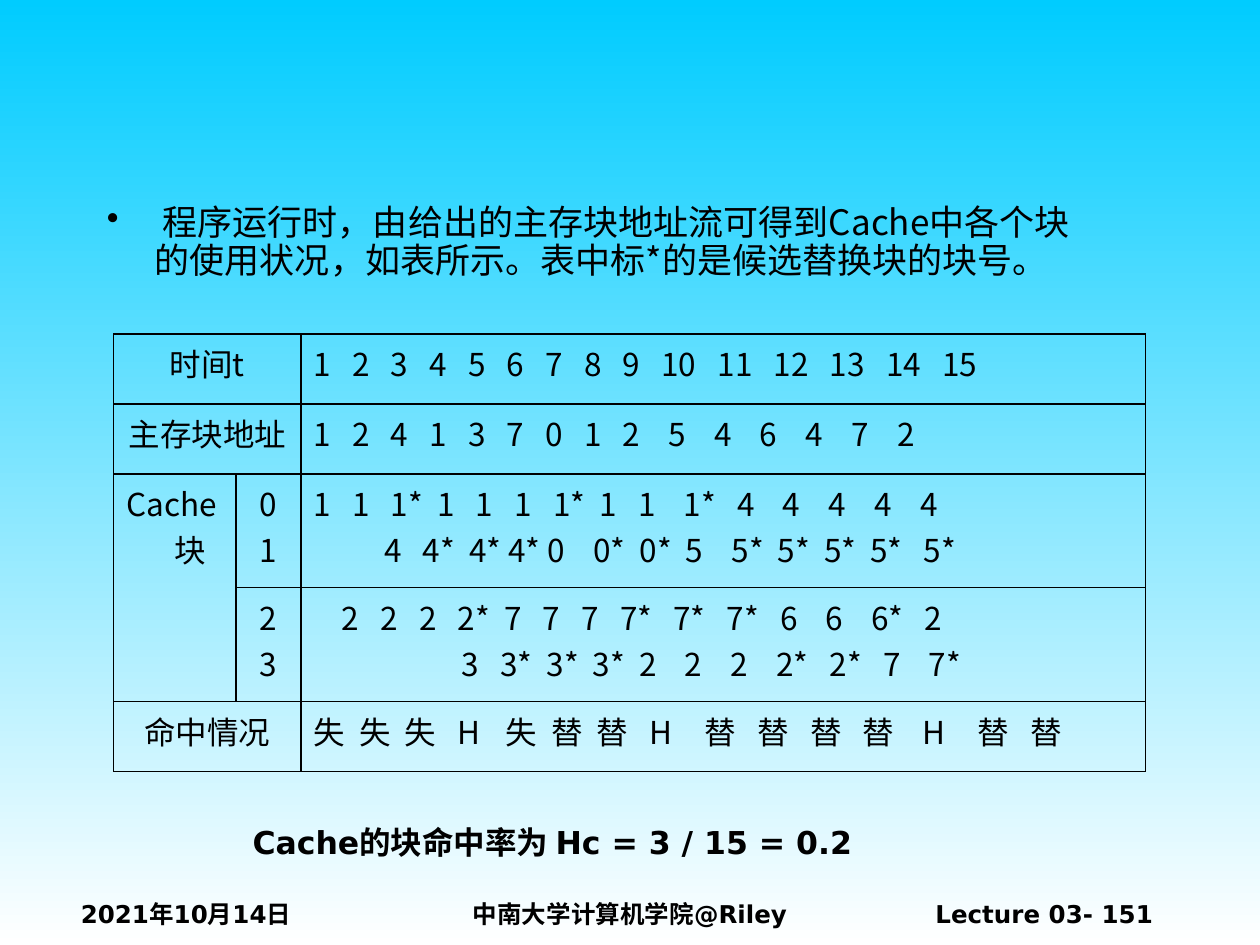
from itertools import product
from lxml.etree import SubElement
from pptx import Presentation
from pptx.dml.color import RGBColor
from pptx.enum.text import MSO_ANCHOR, MSO_AUTO_SIZE, PP_ALIGN
from pptx.oxml.ns import qn
from pptx.util import Pt

CJK, SANS = "Noto Sans CJK SC", "DejaVu Sans"
LEFT, MID, RIGHT = PP_ALIGN.LEFT, PP_ALIGN.CENTER, PP_ALIGN.RIGHT
BLACK = "000000"
HANG = 27.36

# Content
INTRO = " 程序运行时，由给出的主存块地址流可得到Cache中各个块的使用状况，如表所示。表中标*的是候选替换块的块号。"

# Each line: entries, then the gap before each entry in space widths
TIME = ("1 2 3 4 5 6 7 8 9 10 11 12 13 14 15", [0] + [3] * 14)
ADDR = ("1 2 4 1 3 7 0 1 2 5 4 6 4 7 2", [0] + [3] * 8 + [4] * 6)
BLOCKS = [
    ("1 1 1* 1 1 1 1* 1 1 1* 4 4 4 4 4",
     [0, 3, 3, 2, 3, 3, 3, 2, 3, 4, 3, 4, 4, 4, 4]),
    ("4 4* 4* 4* 0 0* 0* 5 5* 5* 5* 5* 5*",
     [10, 3, 2, 1, 1, 4, 2, 2, 4, 2, 2, 2, 3]),
    ("2 2 2 2* 7 7 7 7* 7* 7* 6 6 6* 2",
     [4, 3, 3, 3, 2, 3, 3, 3, 3, 3, 3, 4, 4, 3]),
    ("3 3* 3* 3* 2 2 2 2* 2* 7 7*",
     [21, 3, 2, 2, 2, 4, 4, 4, 3, 3, 4]),
]
HITS = ("失 失 失 H 失 替 替 H 替 替 替 替 H 替 替",
        [0, 2, 2, 3, 3, 2, 2, 3, 4, 3, 3, 3, 4, 4, 3])

COLS = [70, 37, 482.5]
ROWS = [40, 40, 65, 65, 40]
SPANS = [((0, 0), (0, 1)), ((1, 0), (1, 1)), ((2, 0), (3, 0)), ((4, 0), (4, 1))]
LABELS = {(0, 0): ["时间t"], (1, 0): ["主存块地址"], (2, 1): ["0", "1"],
          (3, 1): ["2", "3"], (4, 0): ["命中情况"]}
SERIES = [[TIME], [ADDR], BLOCKS[:2], BLOCKS[2:], [HITS]]

# Text, place, alignment
FOOTER = [
    ("中南大学计算机学院@Riley", (246, 510, 228, 36), MID),
    ("2021年10月14日", (0, 510, 212.5, 36), MID),
    ("Lecture 03- 151", (516, 510, 150, 36), RIGHT),
]
RATE = "Cache的块命中率为 Hc = 3 / 15 = 0.2"

# Advance widths at 18 points
SPACE, DIGIT, STAR, HIT, HAN = 4.03, 10, 8.4, 15.5, 18


def color(code):
    return RGBColor.from_string(code)


def width(item):
    kinds = {"*": STAR, "H": HIT, "失": HAN, "替": HAN}
    return sum(kinds.get(sign, DIGIT) for sign in item)


def write(para, text, size, font=CJK, bold=False, align=LEFT):
    para.alignment = align
    run = para.add_run()
    run.text = text
    look = {"size": Pt(size), "name": font, "bold": bold}
    for key, value in look.items():
        setattr(run.font, key, value)
    run.font.color.rgb = color(BLACK)
    SubElement(run.font._element, qn("a:ea"), typeface=CJK)


def hang(para):
    props = para._p.get_or_add_pPr()
    props.set("marL", str(Pt(HANG)))
    props.set("indent", str(-Pt(HANG)))
    return props


def line(para, entries, gaps):
    """Set entries on tab stops that follow from widths and gaps."""
    items = entries.split()
    tabs = SubElement(para._p.get_or_add_pPr(), qn("a:tabLst"))
    spot = 0
    for item, gap in zip(items, gaps):
        spot += gap * SPACE
        if spot:
            SubElement(tabs, qn("a:tab"), pos=str(Pt(spot)), algn="l")
        spot += width(item)
    lead = "\t" if gaps[0] else ""
    write(para, lead + "\t".join(items), 18)


def paras(frame, count):
    return [frame.paragraphs[0]] + [frame.add_paragraph() for _ in range(count - 1)]


def box(slide, place):
    frame = slide.shapes.add_textbox(*map(Pt, place)).text_frame
    frame.word_wrap = True
    return frame


def border(cell):
    props = cell._tc.get_or_add_tcPr()
    for rank, side in enumerate(("lnL", "lnR", "lnT", "lnB")):
        edge = props.makeelement(qn("a:" + side), {"w": str(Pt(1))})
        fill = SubElement(edge, qn("a:solidFill"))
        SubElement(fill, qn("a:srgbClr"), val=BLACK)
        props.insert(rank, edge)


def grid(slide):
    frame = slide.shapes.add_table(len(ROWS), len(COLS), Pt(65), Pt(190.8),
                                   Pt(sum(COLS)), Pt(sum(ROWS)))
    table = frame.table
    table.first_row = table.horz_banding = False
    for col, size in zip(table.columns, COLS):
        col.width = Pt(size)
    for row, size in zip(table.rows, ROWS):
        row.height = Pt(size)
    for r, c in product(range(len(ROWS)), range(len(COLS))):
        table.cell(r, c).fill.background()
        border(table.cell(r, c))
    for start, end in SPANS:
        table.cell(*start).merge(table.cell(*end))
    # Row heads
    for spot, texts in LABELS.items():
        for para, text in zip(paras(table.cell(*spot).text_frame, len(texts)), texts):
            write(para, text, 18, align=MID)
    head = table.cell(2, 0).text_frame.paragraphs[0]
    hang(head)
    write(head, "Cache块", 18)
    # Time series
    for r, lines in enumerate(SERIES):
        for para, data in zip(paras(table.cell(r, 2).text_frame, len(lines)), lines):
            line(para, *data)


def main():
    deck = Presentation()
    deck.slide_width, deck.slide_height = Pt(720), Pt(540)
    slide = deck.slides.add_slide(deck.slide_layouts[6])

    # Background
    fill = slide.background.fill
    fill.gradient()
    fill.gradient_angle = 270
    for stop, code, place in zip(fill.gradient_stops, ("00CCFF", "FFFFFF"), (0, 1)):
        stop.color.rgb = color(code)
        stop.position = place

    # Introduction
    intro = box(slide, (54, 113.8, 572.4, 70.6)).paragraphs[0]
    intro.line_spacing = 0.9
    SubElement(hang(intro), qn("a:buChar"), char="•")
    write(intro, INTRO, 20)

    grid(slide)

    # Hit rate
    rate = box(slide, (121.7, 463, 388, 36))
    look = {"word_wrap": False, "vertical_anchor": MSO_ANCHOR.MIDDLE,
            "auto_size": MSO_AUTO_SIZE.SHAPE_TO_FIT_TEXT}
    for key, value in look.items():
        setattr(rate, key, value)
    write(rate.paragraphs[0], RATE, 18, SANS, True, MID)

    # Footer
    for text, place, align in FOOTER:
        write(box(slide, place).paragraphs[0], text, 14, SANS, True, align)

    deck.save("out.pptx")


if __name__ == "__main__":
    main()
